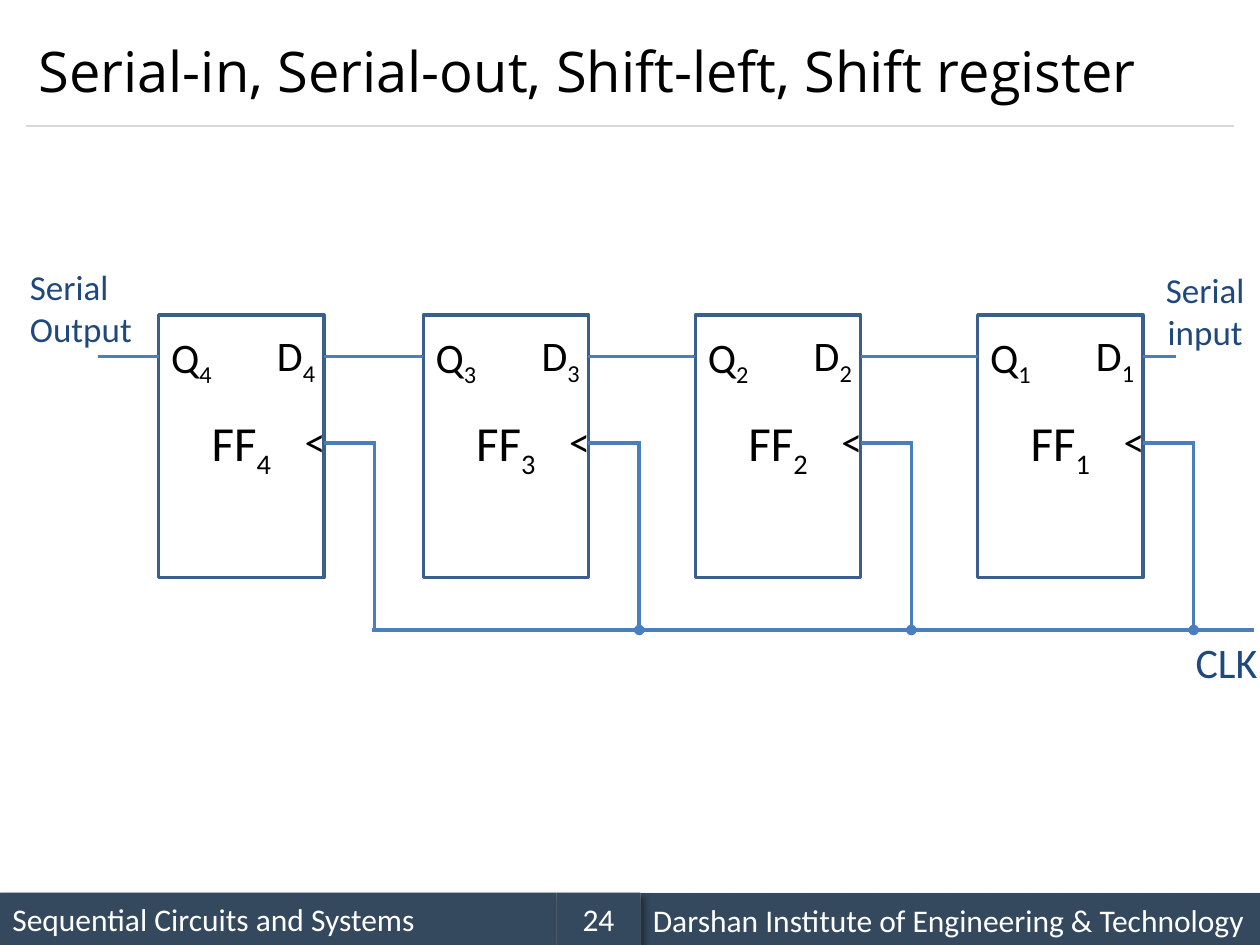
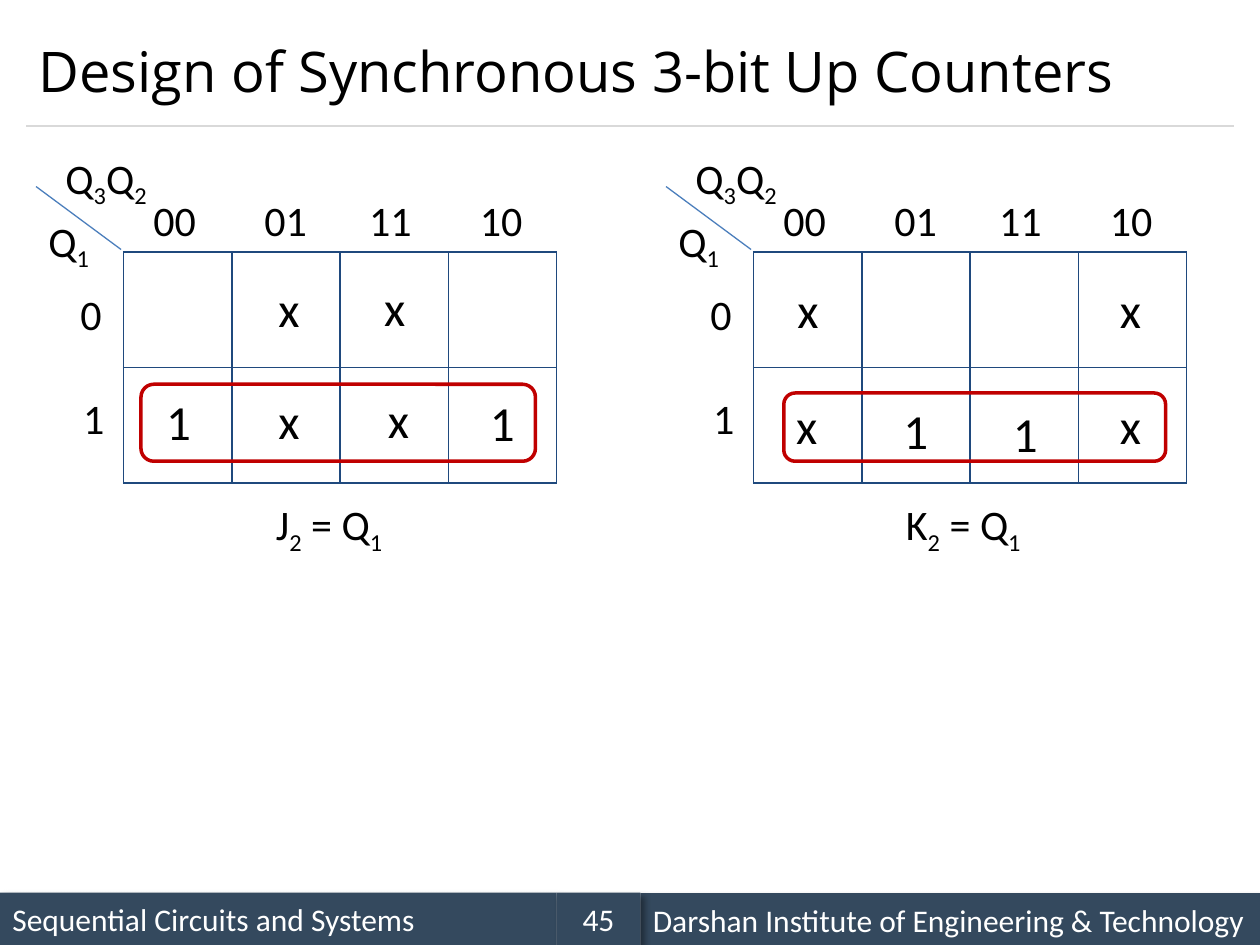
import pptx
import pptx.util
import pptx.dml.color
import pptx.enum.shapes
import pptx.enum.text
import pptx.oxml
import pptx.oxml.ns
from lxml import etree

Pt = pptx.util.Pt
SHAPE = pptx.enum.shapes.MSO_SHAPE
ALIGN = pptx.enum.text.PP_ALIGN
ANCHOR = pptx.enum.text.MSO_ANCHOR
qn = pptx.oxml.ns.qn

BLACK, WHITE, RED = "000000", "FFFFFF", "C00000"
BAND, RULE = "34495E", "D9D9D9"
NAVY, OUTLINE, WIRE = "1F497D", "3A5F8C", "4B7EBC"
BODY_FONT, TITLE_FONT = "Calibri", "Open Sans"
COURSE = "Sequential Circuits and Systems"
INSTITUTE = "Darshan Institute of Engineering & Technology"


def rgb(color):
    return pptx.dml.color.RGBColor.from_string(color)


def write(tf, text, size, color=BLACK, font=BODY_FONT, align=ALIGN.LEFT):
    """Fill a frame; the character after each underscore is a subscript."""
    p = tf.paragraphs[0]
    p.alignment = align
    first, *rest = text.split("_")
    pieces = [(first, False)]
    for part in rest:
        pieces += [(part[0], True), (part[1:], False)]
    for piece, is_sub in pieces:
        if piece:
            r = p.add_run()
            r.text = piece
            r.font.size, r.font.name = Pt(size), font
            r.font.color.rgb = rgb(color)
            if is_sub:
                r.font._element.set("baseline", "-25000")


def add_label(slide, x, y, w, h, text, size=24, color=BLACK, wrap=False, align=ALIGN.LEFT):
    tf = slide.shapes.add_textbox(Pt(x), Pt(y), Pt(w), Pt(h)).text_frame
    tf.word_wrap = wrap
    tf.auto_size = pptx.enum.text.MSO_AUTO_SIZE.SHAPE_TO_FIT_TEXT
    write(tf, text, size, color, align=align)


def add_box(slide, kind, x, y, w, h, fill=None, line=None):
    sp = slide.shapes.add_shape(kind, Pt(x), Pt(y), Pt(w), Pt(h))
    sp.shadow.inherit = False
    if fill:
        sp.fill.solid()
        sp.fill.fore_color.rgb = rgb(fill)
    else:
        sp.fill.background()
    if line:
        sp.line.color.rgb = rgb(line)
        sp.line.width = Pt(2)
    else:
        sp.line.fill.background()
    sp.text_frame.vertical_anchor = ANCHOR.MIDDLE
    return sp


def add_line(slide, x1, y1, x2, y2, color=WIRE, width=2, dot=False):
    cn = slide.shapes.add_connector(
        pptx.enum.shapes.MSO_CONNECTOR.STRAIGHT, Pt(x1), Pt(y1), Pt(x2), Pt(y2))
    cn.line.color.rgb = rgb(color)
    cn.line.width = Pt(width)
    if dot:
        etree.SubElement(cn.line._get_or_add_ln(), qn("a:headEnd"), type="oval")
    etree.SubElement(cn._element.spPr, qn("a:effectLst"))


def add_band(slide, x, y, w, text, align=ALIGN.LEFT):
    sp = add_box(slide, SHAPE.RECTANGLE, x, y, w, 30.2, fill=BAND)
    write(sp.text_frame, text, 18, WHITE, align=align)
    effects = sp._element.spPr.find(qn("a:effectLst"))
    shadow = etree.SubElement(effects, qn("a:outerShdw"), blurRad=str(Pt(4)),
                              dist=str(Pt(3)), dir="2700000", algn="tl", rotWithShape="0")
    clr = etree.SubElement(shadow, qn("a:srgbClr"), val=BLACK)
    etree.SubElement(clr, qn("a:alpha"), val="40000")


def add_base_slide(prs, title, number):
    slide = prs.slides.add_slide(prs.slide_layouts[6])
    add_band(slide, 0, 510, 318, COURSE)
    add_line(slide, 15, 72, 705, 72, RULE, 0.75)
    add_band(slide, 366, 510.4, 354, INSTITUTE)
    add_band(slide, 318, 510, 48, str(number), ALIGN.CENTER)
    tf = slide.shapes.add_textbox(Pt(15), Pt(8.6), Pt(690), Pt(63.4)).text_frame
    tf.word_wrap = True
    tf.vertical_anchor = ANCHOR.MIDDLE
    write(tf, title, 32, font=TITLE_FONT)
    return slide


FF_W, FF_H = 94.4, 150


def add_flip_flop(slide, x, y, n):
    sp = add_box(slide, SHAPE.RECTANGLE, x, y, FF_W, FF_H, line=OUTLINE)
    write(sp.text_frame, f"FF_{n}", 28, align=ALIGN.CENTER)
    add_label(slide, x, y + 5.8, 38.9, 36, f"Q_{n}")
    add_label(slide, x + 60.5, y + 5, 38.9, 36, f"D_{n}")
    add_label(slide, x + 76.3, y + 54, 26.6, 36, "<")


def add_clock_tap(slide, x, y, bus_y, dot):
    add_line(slide, x + 29, bus_y, x + 29, y - 1, dot=dot)
    add_line(slide, x, y, x + 29, y)


def build_register(prs):
    slide = add_base_slide(prs, "Serial-in, Serial-out, Shift-left, Shift register", 24)
    top, bus_y = 180, 360
    data_y, clock_y = top + 23.8, top + 73.2
    lefts = [90.7, 241.9, 397.4, 558.7]
    add_line(slide, 212.6, bus_y, 716.4, bus_y)
    for i, x in enumerate(lefts):
        add_flip_flop(slide, x, top, len(lefts) - i)
        add_clock_tap(slide, x + FF_W, clock_y, bus_y, dot=i > 0)
    starts = [56.2] + [x + FF_W for x in lefts]
    for start, end in zip(starts, lefts + [671.8]):
        add_line(slide, start, data_y, end, data_y)
    add_label(slide, 10, 148.3, 92.2, 55.4, "Serial Output", 20, NAVY, wrap=True)
    add_label(slide, 651.6, 149.8, 74.2, 55.4, "Serial input", 20, NAVY,
              wrap=True, align=ALIGN.CENTER)
    add_label(slide, 676.1, 360, 50.4, 36, "CLK", 24, NAVY)


def add_grid(slide, x, y, col_w=61.9, row_h=66):
    tbl = slide.shapes.add_table(2, 4, Pt(x), Pt(y), Pt(4 * col_w), Pt(2 * row_h)).table
    tbl.first_row = tbl.horz_banding = False
    for col in tbl.columns:
        col.width = Pt(col_w)
    for row in tbl.rows:
        row.height = Pt(row_h)
    for cell in tbl.iter_cells():
        tc_pr = cell._tc.get_or_add_tcPr()
        for side in ("L", "R", "T", "B"):
            ln = etree.SubElement(tc_pr, qn(f"a:ln{side}"), w=str(Pt(1)))
            fill = etree.SubElement(ln, qn("a:solidFill"))
            etree.SubElement(fill, qn("a:srgbClr"), val=NAVY)
        cell.fill.background()


def add_karnaugh_map(slide, x, y, marks, loop, equation):
    """Place the map with its grid's top left corner at x, y."""
    add_grid(slide, x, y)
    add_line(slide, x - 1.4, y - 1.4, x - 50, y - 37.4, width=0.75)
    add_label(slide, x - 40.3, y - 60.5, 63.4, 36, "Q_3Q_2")
    add_label(slide, x - 50, y - 24.5, 38.9, 36, "Q_1")
    for dx, code in zip((10, 73.4, 133.2, 196.6), ("00", "01", "11", "10")):
        add_label(slide, x + dx, y - 36.4, 38.9, 36, code)
    add_label(slide, x - 31.7, y + 17.3, 26.6, 36, "0")
    add_label(slide, x - 30.2, y + 77, 26.6, 36, "1")
    for text, dx, dy in marks:
        add_label(slide, x + dx, y + dy, 28.8 if text == "1" else 26.6, 41, text, 28)
    dx, dy, w, h = loop
    add_box(slide, SHAPE.FLOWCHART_ALTERNATE_PROCESS, x + dx, y + dy, w, h, line=RED)
    add_label(slide, x + 80, y + 137.5, 80, 36, equation)


def build_counter(prs):
    slide = add_base_slide(prs, "Design of Synchronous 3-bit Up Counters", 45)
    j_marks = [("x", 81.4, 11.5), ("x", 141.8, 10.8), ("1", 17.3, 76.3),
               ("x", 81.4, 75.6), ("x", 144, 74.9), ("1", 202.3, 77)]
    k_marks = [("x", 18, 12.2), ("x", 202.3, 12.2), ("x", 17.3, 78.5),
               ("1", 78.5, 81.4), ("1", 141.1, 82.8), ("x", 202.3, 78.5)]
    add_karnaugh_map(slide, 70.6, 144, j_marks, (10, 75.6, 225.4, 44), "J_2 = Q_1")
    add_karnaugh_map(slide, 430.6, 144, k_marks, (17.3, 80.6, 218.2, 39), "K_2 = Q_1")


def main():
    prs = pptx.Presentation()
    prs.slide_width, prs.slide_height = Pt(720), Pt(540)
    build_register(prs)
    build_counter(prs)
    prs.save("out.pptx")


if __name__ == "__main__":
    main()
